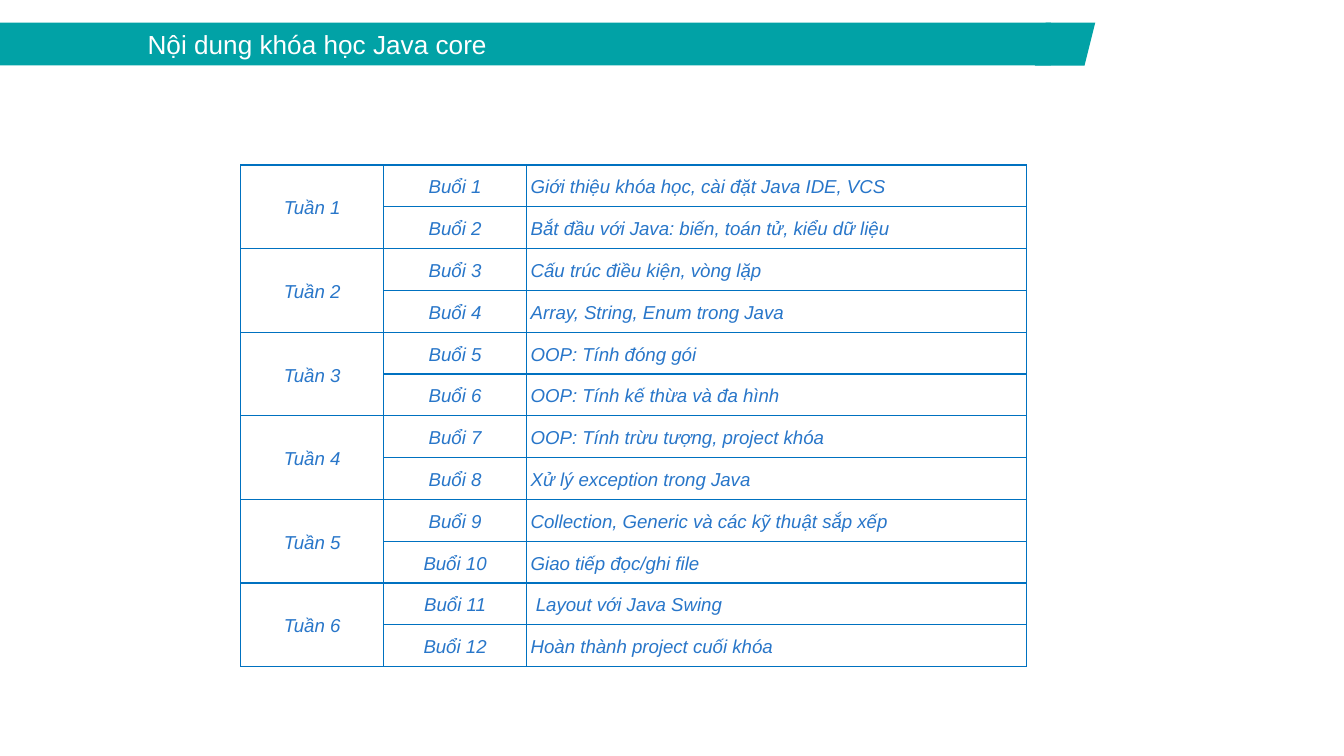
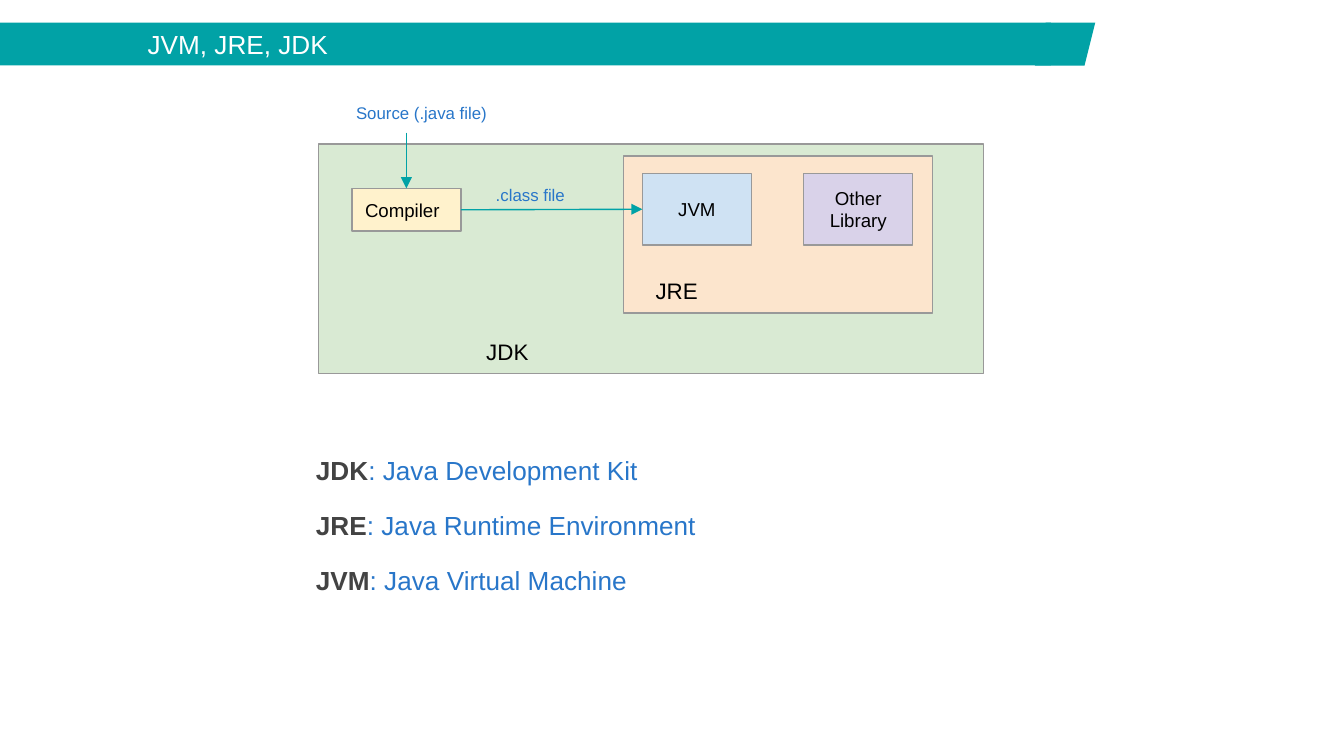
from lxml.etree import SubElement
from pptx import Presentation
from pptx.dml.color import RGBColor
from pptx.enum.shapes import MSO_CONNECTOR as LineKind, MSO_SHAPE as Preset
from pptx.enum.text import MSO_ANCHOR as Anchor, PP_ALIGN as Align
from pptx.oxml.ns import qn
from pptx.util import Cm, Pt

FONT = "Arial"
TEAL, BLUE, BORDER_BLUE = "01A2A6", "2876C9", "0071C0"
WHITE, BLACK, DARK, GREY = "FFFFFF", "000000", "434343", "999999"

COURSE_TITLE = "Nội dung khóa học Java core"
SESSIONS = [
    "Giới thiệu khóa học, cài đặt Java IDE, VCS",
    "Bắt đầu với Java: biến, toán tử, kiểu dữ liệu",
    "Cấu trúc điều kiện, vòng lặp",
    "Array, String, Enum trong Java",
    "OOP: Tính đóng gói",
    "OOP: Tính kế thừa và đa hình",
    "OOP: Tính trừu tượng, project khóa",
    "Xử lý exception trong Java",
    "Collection, Generic và các kỹ thuật sắp xếp",
    "Giao tiếp đọc/ghi file",
    " Layout với Java Swing",
    "Hoàn thành project cuối khóa",
]
SESSIONS_PER_WEEK = 2

PLATFORM_TITLE = "JVM, JRE, JDK"
# Places are left, top, width, height in cm.
CONTAINERS = [
    (Preset.RECTANGLE, (6.02, 2.72, 12.57, 4.34), "D9EAD3"),
    (Preset.ROUNDED_RECTANGLE, (11.79, 2.95, 5.84, 2.97), "FCE5CD"),
]
COMPONENTS = {
    "Compiler": ((6.65, 3.56, 2.06, 0.81), "FFF2CC", Align.LEFT),
    "JVM": ((12.14, 3.28, 2.06, 1.35), "CFE2F3", Align.CENTER),
    "Other Library": ((15.19, 3.28, 2.06, 1.35), "D9D2E9", Align.CENTER),
}
LABELS = [
    ("JDK", (8.94, 6.15, 1.65, 0.81), 12, BLACK),
    ("JRE", (12.14, 4.98, 1.65, 0.81), 12, BLACK),
    (".class file", (9.12, 3.3, 2.06, 0.81), 9, BLUE),
    ("Source (.java file)", (6.48, 1.75, 3.76, 0.81), 9, BLUE),
]
SOURCE_ARROW_TOP = 2.51
DEFINITIONS = {
    "JDK": "Java Development Kit",
    "JRE": "Java Runtime Environment",
    "JVM": "Java Virtual Machine",
}
DEFINITIONS_PLACE = (5.72, 8.26, 10.41, 4.04)

BAND_TOP, BAND_HEIGHT = 0.43, 0.81
BAND_PLACE = (0, BAND_TOP, 19.86, BAND_HEIGHT)
BAND_TIP_PLACE = (19.56, BAND_TOP, 1.14, BAND_HEIGHT)
TITLE_INDENT = 2.79
INSET = 0.25


def rgb(color):
    return RGBColor.from_string(color)


def lengths(place):
    return [Cm(value) for value in place]


def set_all(target, **values):
    for key, value in values.items():
        setattr(target, key, value)


def add_run(paragraph, text, size, color, **style):
    run = paragraph.add_run()
    run.text = text
    set_all(run.font, name=FONT, size=Pt(size), **style)
    run.font.color.rgb = rgb(color)


def set_frame(frame, anchor=Anchor.TOP, left=INSET):
    set_all(frame, word_wrap=True, vertical_anchor=anchor, margin_left=Cm(left),
            margin_right=Cm(INSET), margin_top=Cm(INSET), margin_bottom=Cm(INSET))
    return frame


def add_block(slide, preset, place, fill, line=None):
    block = slide.shapes.add_shape(preset, *lengths(place))
    block.shadow.inherit = False
    block.fill.solid()
    block.fill.fore_color.rgb = rgb(fill)
    if preset == Preset.ROUNDED_RECTANGLE:
        block.adjustments[0] = 0
    if line:
        block.line.color.rgb = rgb(line)
        block.line.width = Pt(0.75)
    else:
        block.line.fill.background()
    return block


def add_text(slide, place):
    return set_frame(slide.shapes.add_textbox(*lengths(place)).text_frame)


def add_titled_slide(deck, title):
    slide = deck.slides.add_slide(deck.slide_layouts[6])
    band = add_block(slide, Preset.RECTANGLE, BAND_PLACE, TEAL)
    heading = set_frame(band.text_frame, Anchor.MIDDLE, TITLE_INDENT).paragraphs[0]
    heading.alignment = Align.LEFT
    add_run(heading, title, 14, WHITE)
    tip = add_block(slide, Preset.PARALLELOGRAM, BAND_TIP_PLACE, TEAL)
    tip.adjustments[0] = 0.25
    return slide


def set_borders(cell):
    properties = cell._tc.get_or_add_tcPr()
    for side in ("a:lnL", "a:lnR", "a:lnT", "a:lnB"):
        border = SubElement(properties, qn(side), w=str(Pt(0.75)))
        SubElement(SubElement(border, qn("a:solidFill")), qn("a:srgbClr"), val=BORDER_BLUE)


def add_schedule(slide):
    widths, row_height = (2.7, 2.7, 9.45), 0.79
    place = (4.55, 3.12, sum(widths), row_height * len(SESSIONS))
    table = slide.shapes.add_table(len(SESSIONS), len(widths), *lengths(place)).table
    set_all(table, first_row=False, horz_banding=False)
    for column, width in zip(table.columns, widths):
        column.width = Cm(width)
    for index, topic in enumerate(SESSIONS):
        table.rows[index].height = Cm(row_height)
        week, week_part = divmod(index, SESSIONS_PER_WEEK)
        week_name = "" if week_part else f"Tuần {week + 1}"
        for column, text in enumerate((week_name, f"Buổi {index + 1}", topic)):
            cell = table.cell(index, column)
            set_all(cell, vertical_anchor=Anchor.MIDDLE, margin_left=Cm(0.08),
                    margin_right=Cm(0.08), margin_top=Cm(0.05), margin_bottom=Cm(0.05))
            set_borders(cell)
            cell.fill.background()
            paragraph = cell.text_frame.paragraphs[0]
            set_all(paragraph, line_spacing=1.15,
                    alignment=Align.LEFT if column == 2 else Align.CENTER)
            if text:
                add_run(paragraph, text, 10, BLUE, italic=True)
    for top in range(0, len(SESSIONS), SESSIONS_PER_WEEK):
        table.cell(top, 0).merge(table.cell(top + SESSIONS_PER_WEEK - 1, 0))


def add_arrow(slide, target, side, start=(0, 0), source=None):
    """Draw an arrow to a side of target, from a side of source or a point."""
    x, y = lengths(start)
    arrow = slide.shapes.add_connector(LineKind.STRAIGHT, x, y, x, y)
    if source:
        arrow.begin_connect(source, 3)
    arrow.end_connect(target, side)
    arrow.line.color.rgb = rgb(TEAL)
    arrow.line.width = Pt(0.75)
    SubElement(arrow.line._get_or_add_ln(), qn("a:tailEnd"), type="triangle")
    SubElement(arrow._element.spPr, qn("a:effectLst"))


def add_platform_diagram(slide):
    for preset, place, fill in CONTAINERS:
        add_block(slide, preset, place, fill, GREY)
    blocks = {}
    for name, (place, fill, alignment) in COMPONENTS.items():
        block = add_block(slide, Preset.ROUNDED_RECTANGLE, place, fill, GREY)
        paragraph = set_frame(block.text_frame, Anchor.MIDDLE).paragraphs[0]
        paragraph.alignment = alignment
        add_run(paragraph, name, 10, BLACK)
        blocks[name] = block
    left, _, width, _ = COMPONENTS["Compiler"][0]
    add_arrow(slide, blocks["Compiler"], 0, start=(left + width / 2, SOURCE_ARROW_TOP))
    add_arrow(slide, blocks["JVM"], 1, source=blocks["Compiler"])
    for label, place, size, color in LABELS:
        add_run(add_text(slide, place).paragraphs[0], label, size, color)


def add_definitions(slide):
    frame = add_text(slide, DEFINITIONS_PLACE)
    for index, (term, meaning) in enumerate(DEFINITIONS.items()):
        paragraph = frame.add_paragraph() if index else frame.paragraphs[0]
        set_all(paragraph, line_spacing=1.15, space_before=Pt(10))
        add_run(paragraph, term, 14, DARK, bold=True)
        add_run(paragraph, f": {meaning}", 14, BLUE)


def main():
    deck = Presentation()
    set_all(deck, slide_width=Cm(25.4), slide_height=Cm(14.29))
    add_schedule(add_titled_slide(deck, COURSE_TITLE))
    platform = add_titled_slide(deck, PLATFORM_TITLE)
    add_platform_diagram(platform)
    add_definitions(platform)
    deck.save("out.pptx")


if __name__ == "__main__":
    main()
